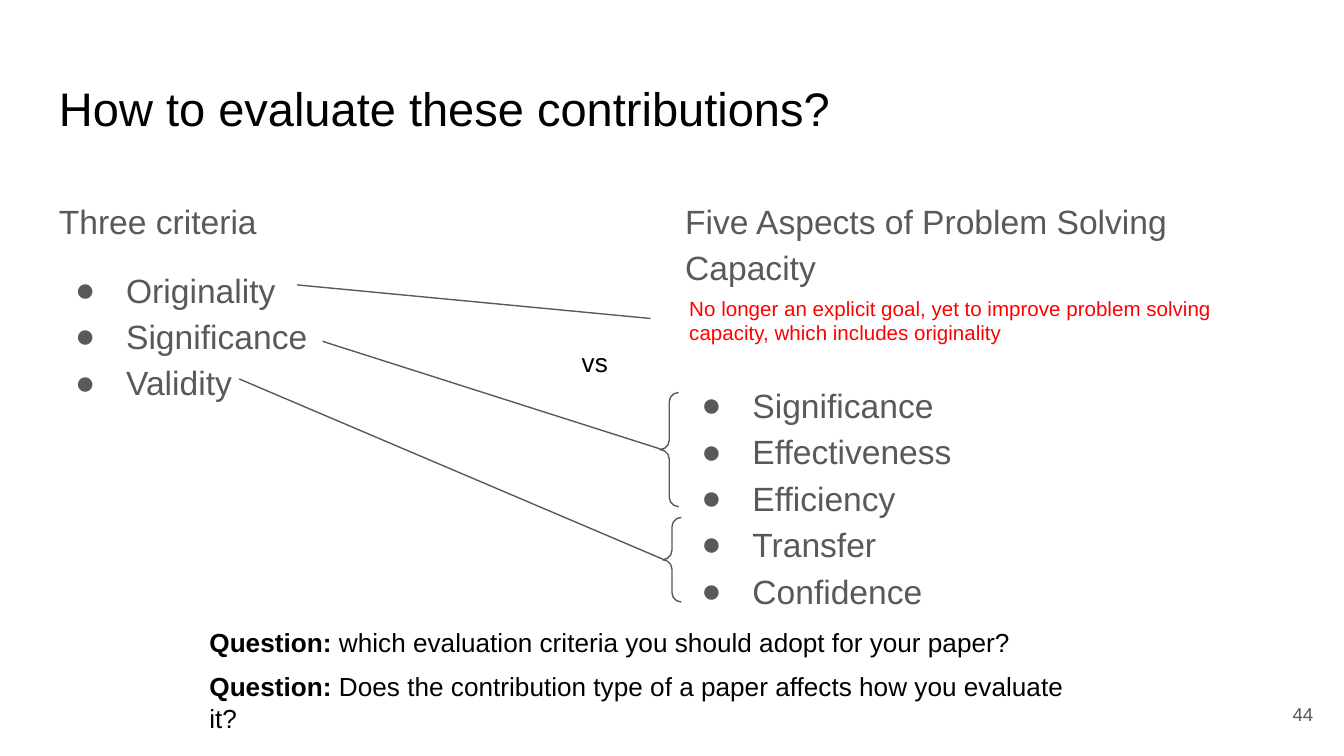
from dataclasses import dataclass

from lxml.etree import SubElement
from pptx import Presentation
from pptx.dml.color import RGBColor
from pptx.enum.shapes import MSO_CONNECTOR, MSO_SHAPE
from pptx.enum.text import MSO_ANCHOR, PP_ALIGN
from pptx.oxml.ns import qn
from pptx.slide import Slide
from pptx.util import Inches, Pt

BLACK = RGBColor(0x00, 0x00, 0x00)
GRAY = RGBColor(0x59, 0x59, 0x59)
RED = RGBColor(0xFF, 0x00, 0x00)
FONT = "Arial"


@dataclass
class Label:
    text: str
    box: tuple[float, float, float, float]
    size: float
    color: RGBColor = BLACK
    lead: str = ""
    align: PP_ALIGN = PP_ALIGN.LEFT
    anchor: MSO_ANCHOR = MSO_ANCHOR.TOP


@dataclass
class Column:
    head: str
    items: list[str]
    left: float
    gap: float


@dataclass
class Brace:
    left: float
    top: float
    height: float


@dataclass
class Link:
    start: tuple[float, float]
    end: tuple[float, float]


TITLE = Label("How to evaluate these contributions?", (0.34, 0.49, 9.32, 0.63), 25.2)

LABELS = [
    Label("vs", (4.23, 2.48, 0.48, 0.44), 14),
    Label(
        "No longer an explicit goal, yet to improve problem solving "
        "capacity, which includes originality",
        (5.03, 2.1, 4.45, 0.57), 11, RED,
    ),
    Label(
        " which evaluation criteria you should adopt for your paper?",
        (1.46, 4.56, 6.58, 0.44), 14, lead="Question:",
    ),
    Label(
        "44", (9.27, 5.1, 0.6, 0.43), 10, GRAY,
        align=PP_ALIGN.RIGHT, anchor=MSO_ANCHOR.MIDDLE,
    ),
    Label(
        " Does the contribution type of a paper affects how you evaluate it?",
        (1.46, 4.89, 6.58, 0.67), 14, lead="Question:",
    ),
]

COLUMNS = [
    Column(
        "Five Aspects of Problem Solving Capacity",
        ["Significance", "Effectiveness", "Efficiency", "Transfer", "Confidence"],
        5, 49,
    ),
    Column("Three criteria", ["Originality", "Significance", "Validity"], 0.34, 12),
]

BRACES = [Brace(4.91, 2.92, 0.85), Brace(4.93, 3.85, 0.63)]

LINKS = [
    Link((2.4, 2.54), (4.91, 3.34)),
    Link((1.78, 2.82), (4.93, 4.16)),
    Link((2.21, 2.12), (4.84, 2.37)),
]


def add_frame(slide: Slide, box: tuple[float, float, float, float]):
    frame = slide.shapes.add_textbox(*map(Inches, box)).text_frame
    frame.word_wrap = True
    frame.margin_left = frame.margin_right = Inches(0.1)
    frame.margin_top = frame.margin_bottom = Inches(0.1)
    return frame


def style(run, size: float, color: RGBColor, bold: bool = False) -> None:
    run.font.name = FONT
    run.font.size = Pt(size)
    run.font.color.rgb = color
    run.font.bold = bold


def add_label(slide: Slide, label: Label) -> None:
    frame = add_frame(slide, label.box)
    frame.vertical_anchor = label.anchor
    para = frame.paragraphs[0]
    para.alignment = label.align
    para.text = label.lead or label.text
    style(para.runs[0], label.size, label.color, bool(label.lead))
    if label.lead:
        run = para.add_run()
        run.text = label.text
        style(run, label.size, label.color)


def add_bullet(para) -> None:
    props = para._p.get_or_add_pPr()
    props.set("marL", str(Inches(0.5)))
    props.set("indent", str(Inches(-0.38)))
    tint = SubElement(props, qn("a:buClr"))
    SubElement(tint, qn("a:srgbClr")).set("val", str(GRAY))
    SubElement(props, qn("a:buFont")).set("typeface", FONT)
    SubElement(props, qn("a:buChar")).set("char", "●")


def add_column(slide: Slide, column: Column) -> None:
    frame = add_frame(slide, (column.left, 1.35, 4.78, 3.74))
    frame.text = "\n".join([column.head, *column.items])
    for rank, para in enumerate(frame.paragraphs):
        para.line_spacing = 1.15
        para.space_before = Pt(column.gap if rank == 1 else 0)
        style(para.runs[0], 18, GRAY)
        if rank:
            add_bullet(para)


def add_brace(slide: Slide, brace: Brace) -> None:
    shape = slide.shapes.add_shape(
        MSO_SHAPE.LEFT_BRACE, Inches(brace.left), Inches(brace.top),
        Inches(0.14), Inches(brace.height),
    )
    shape.adjustments[0] = shape.adjustments[1] = 0.5
    shape.shadow.inherit = False
    shape.fill.background()
    shape.line.color.rgb = GRAY
    shape.line.width = Pt(0.75)


def add_link(slide: Slide, link: Link) -> None:
    line = slide.shapes.add_connector(
        MSO_CONNECTOR.STRAIGHT, *map(Inches, link.start + link.end)
    )
    line.line.color.rgb = GRAY
    line.line.width = Pt(0.75)
    SubElement(line._element.spPr, qn("a:effectLst"))


def main() -> None:
    deck = Presentation()
    deck.slide_width = Inches(10)
    deck.slide_height = Inches(10 * 9 / 16)
    slide = deck.slides.add_slide(deck.slide_layouts[6])
    add_label(slide, TITLE)
    for column in COLUMNS:
        add_column(slide, column)
    for brace in BRACES:
        add_brace(slide, brace)
    for link in LINKS:
        add_link(slide, link)
    for label in LABELS:
        add_label(slide, label)
    deck.save("out.pptx")


if __name__ == "__main__":
    main()
